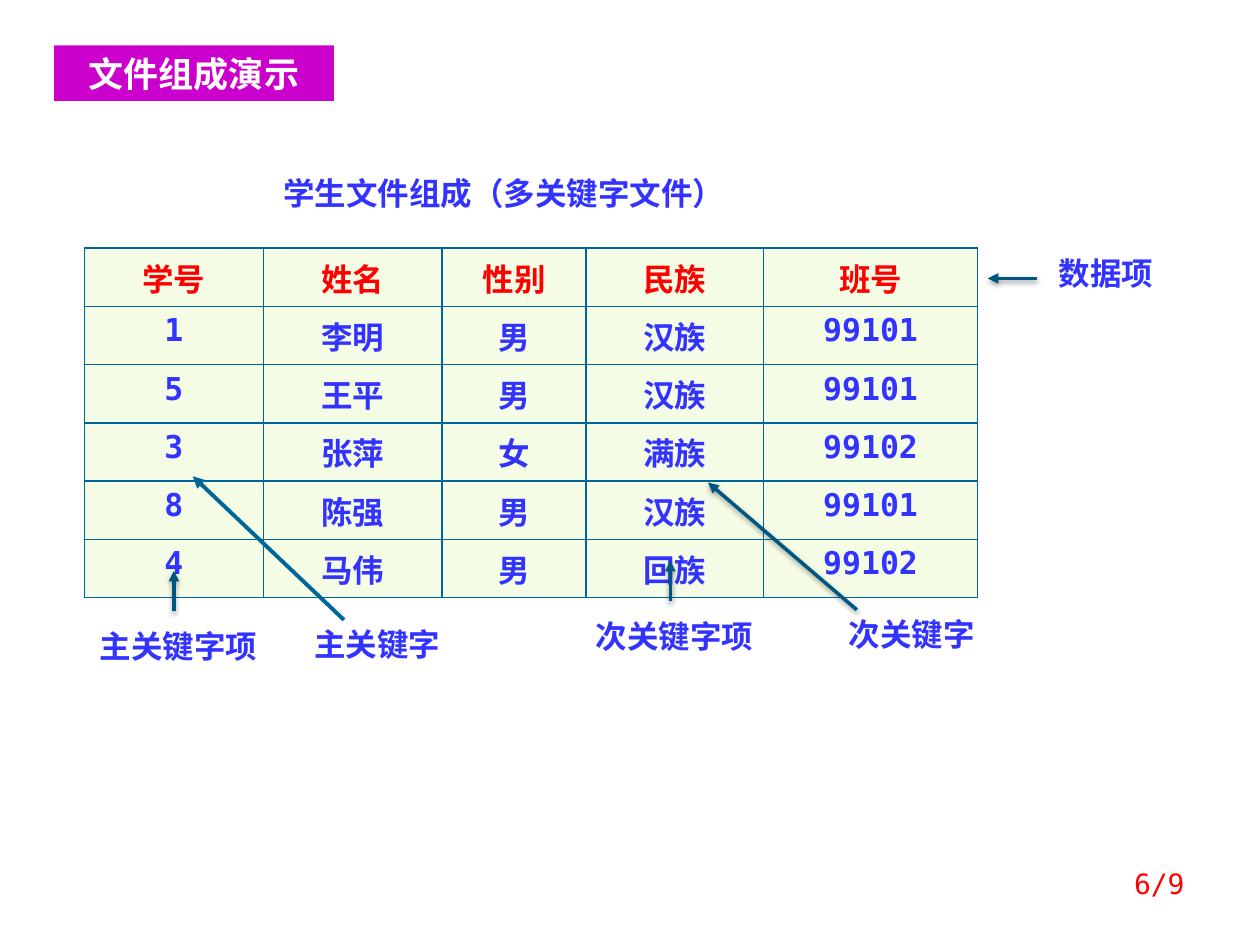
from lxml.etree import SubElement
from pptx import Presentation
from pptx.dml.color import RGBColor
from pptx.enum.shapes import MSO_CONNECTOR as Connector
from pptx.enum.text import MSO_ANCHOR as Anchor, MSO_AUTO_SIZE as AutoSize, PP_ALIGN as Align
from pptx.oxml import parse_xml
from pptx.oxml.ns import nsdecls, qn
from pptx.util import Inches, Pt

COLORS = {"banner": "CC00CC", "white": "FFFFFF", "red": "FF0000", "blue": "3333FF",
          "cell": "F4FCE5", "border": "006699", "arrow": "005682", "shadow": "000000"}
MONO, SANS, SANS_JP = "DejaVu Sans Mono", "Noto Sans CJK SC", "Noto Sans CJK JP"

BANNER = "文件组成演示"
HEADING = "学生文件组成（多关键字文件）"
PAGE = "6/9"
STUDENTS = [
    ("学号", "姓名", "性别", "民族", "班号"),
    ("1", "李明", "男", "汉族", "99101"),
    ("5", "王平", "男", "汉族", "99101"),
    ("3", "张萍", "女", "满族", "99102"),
    ("8", "陈强", "男", "汉族", "99101"),
    ("4", "马伟", "男", "回族", "99102"),
]
COLUMN_WIDTHS = (1.42, 1.42, 1.14, 1.41, 1.7)
ROW_HEIGHT = 0.25
LABELS = [
    ("数据项", (8.15, 1.97, 1.26)),
    ("主关键字项", (0.51, 4.93, 1.81)),
    ("主关键字", (2.24, 4.91, 1.51)),
    ("次关键字项", (4.45, 4.85, 1.81)),
    ("次关键字", (6.33, 4.83, 1.81)),
]
ARROWS = [
    ((8.23, 2.21), (7.84, 2.21), "arrow", 2, True),
    ((1.38, 4.85), (1.38, 4.53), "arrow", 2, True),
    ((2.73, 4.92), (1.53, 3.78), "border", 2.25, False),
    ((5.32, 4.77), (5.32, 4.45), "arrow", 2, True),
    ((6.8, 4.84), (5.62, 3.83), "arrow", 2, True),
]


def rgb(color):
    return RGBColor.from_string(COLORS[color])


def write(frame, text, size, color, latin, asian, bold=True, align=Align.CENTER):
    frame.text = text
    paragraph = frame.paragraphs[0]
    paragraph.alignment = align
    for run in paragraph.runs:
        font = run.font
        font.size, font.bold, font.name = Pt(size), bold, latin
        font.color.rgb = rgb(color)
        SubElement(font._element, qn("a:ea")).set("typeface", asian)


def add_label(slide, text, left, top, width, height=0.4, size=18, color="blue",
              font=SANS, bold=True, align=Align.CENTER):
    frame = slide.shapes.add_textbox(*map(Inches, (left, top, width, height))).text_frame
    frame.word_wrap = True
    write(frame, text, size, color, font, font, bold, align)


def add_arrow(slide, start, end, color, width, shadowed):
    arrow = slide.shapes.add_connector(Connector.STRAIGHT, *map(Inches, start + end))
    arrow.line.color.rgb = rgb(color)
    arrow.line.width = Pt(width)
    SubElement(arrow.line._get_or_add_ln(), qn("a:tailEnd")).set("type", "triangle")
    shadow = (f'<a:outerShdw blurRad="40000" dist="20000" dir="5400000" rotWithShape="0">'
              f'<a:srgbClr val="{COLORS["shadow"]}"><a:alpha val="38000"/></a:srgbClr>'
              f'</a:outerShdw>') if shadowed else ""
    arrow._element.spPr.append(
        parse_xml(f'<a:effectLst {nsdecls("a")}>{shadow}</a:effectLst>'))


def add_borders(cell):
    properties = cell._tc.get_or_add_tcPr()
    for side in ("lnL", "lnR", "lnT", "lnB"):
        properties.append(parse_xml(
            f'<a:{side} {nsdecls("a")} w="{Pt(1)}"><a:solidFill>'
            f'<a:srgbClr val="{COLORS["border"]}"/></a:solidFill></a:{side}>'))


def add_student_table(slide):
    holder = slide.shapes.add_table(
        len(STUDENTS), len(COLUMN_WIDTHS),
        *map(Inches, (0.67, 1.97, sum(COLUMN_WIDTHS), 2.4)))
    table = holder.table
    for column, width in zip(table.columns, COLUMN_WIDTHS):
        column.width = Inches(width)
    for index, (row, student) in enumerate(zip(table.rows, STUDENTS)):
        row.height = Inches(ROW_HEIGHT)
        for cell, value in zip(row.cells, student):
            add_borders(cell)
            cell.fill.solid()
            cell.fill.fore_color.rgb = rgb("cell")
            write(cell.text_frame, value, 18, "blue" if index else "red", MONO, SANS)
    holder.height = Inches(2.4)


def add_banner(slide):
    banner = slide.shapes.title
    banner.left, banner.top, banner.width, banner.height = map(
        Inches, (0.43, 0.36, 2.22, 0.44))
    banner.fill.solid()
    banner.fill.fore_color.rgb = rgb("banner")
    frame = banner.text_frame
    frame.auto_size = AutoSize.NONE
    frame.vertical_anchor = Anchor.MIDDLE
    write(frame, BANNER, 20, "white", SANS, SANS)


def main():
    """Build the slide on how a student file is composed."""
    deck = Presentation()
    deck.slide_width, deck.slide_height = Inches(10), Inches(7.5)
    slide = deck.slides.add_slide(deck.slide_layouts[5])
    add_banner(slide)
    add_student_table(slide)
    add_label(slide, HEADING, 1.8, 1.33, 4.4, font=SANS_JP)
    for arrow in ARROWS:
        add_arrow(slide, *arrow)
    for text, place in LABELS:
        add_label(slide, text, *place)
    add_label(slide, PAGE, 7.17, 6.83, 2.33, 0.5, 16, "red", MONO, False, Align.RIGHT)
    deck.save("out.pptx")


if __name__ == "__main__":
    main()
